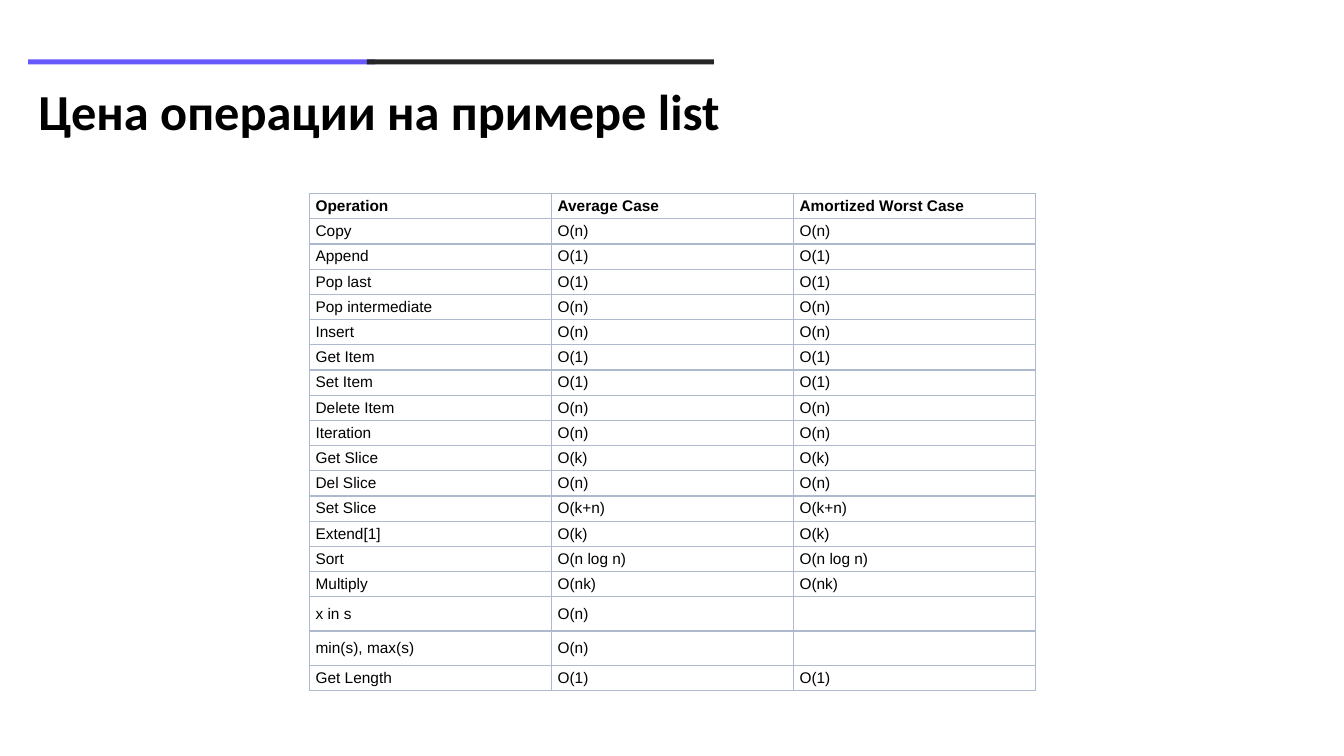
"""Build a slide with a table of list operation costs."""
from lxml import etree
from pptx import Presentation
from pptx import util as u
from pptx.dml.color import RGBColor
from pptx.enum import shapes, text
from pptx.oxml.ns import qn

TITLE = "Цена операции на примере list"
HEAD = ("Operation", "Average Case", "Amortized Worst Case")
COSTS = [
    ("Copy", "O(n)", "O(n)"),
    ("Append", "O(1)", "O(1)"),
    ("Pop last", "O(1)", "O(1)"),
    ("Pop intermediate", "O(n)", "O(n)"),
    ("Insert", "O(n)", "O(n)"),
    ("Get Item", "O(1)", "O(1)"),
    ("Set Item", "O(1)", "O(1)"),
    ("Delete Item", "O(n)", "O(n)"),
    ("Iteration", "O(n)", "O(n)"),
    ("Get Slice", "O(k)", "O(k)"),
    ("Del Slice", "O(n)", "O(n)"),
    ("Set Slice", "O(k+n)", "O(k+n)"),
    ("Extend[1]", "O(k)", "O(k)"),
    ("Sort", "O(n log n)", "O(n log n)"),
    ("Multiply", "O(nk)", "O(nk)"),
    ("x in s", "O(n)", ""),
    ("min(s), max(s)", "O(n)", ""),
    ("Get Length", "O(1)", "O(1)"),
]
COLORS = {"ink": "000000", "paper": "FFFFFF", "grid": "ADB9CC",
          "violet": "6759FE", "dark": "262626"}
BARS = [(0.28, "violet"), (3.64, "dark")]
COL, ROW, TALL = 2.4, 0.25, 0.34


def color(name):
    return RGBColor.from_string(COLORS[name])


def style(para, face, size, bold):
    for run in para.runs:
        font = run.font
        font.name, font.size, font.bold = face, u.Pt(size), bold
        font.color.rgb = color("ink")


def add_title(slide):
    title = slide.shapes.title
    title.left, title.top = u.Inches(0.28), u.Inches(0.68)
    title.width, title.height = u.Inches(7.07), u.Inches(0.91)
    frame = title.text_frame
    frame.text = TITLE
    frame.word_wrap = True
    frame.vertical_anchor = text.MSO_ANCHOR.MIDDLE
    para = frame.paragraphs[0]
    para.alignment = text.PP_ALIGN.LEFT
    para.line_spacing = 0.9
    style(para, "Calibri", 36, True)


def add_bar(slide, left, name):
    bar = slide.shapes.add_shape(
        shapes.MSO_SHAPE.RECTANGLE, u.Inches(left), u.Inches(0.59),
        u.Inches(3.44), u.Inches(0.05))
    bar.shadow.inherit = False
    bar.fill.solid()
    bar.fill.fore_color.rgb = color(name)
    bar.line.fill.background()


def add_edges(cell):
    props = cell._tc.get_or_add_tcPr()
    for side in ("lnL", "lnR", "lnT", "lnB"):
        line = etree.SubElement(props, qn("a:" + side), w=str(u.Pt(1)))
        fill = etree.SubElement(line, qn("a:solidFill"))
        etree.SubElement(fill, qn("a:srgbClr"), val=COLORS["grid"])


def fill_cell(cell, words, bold):
    cell.text = words
    cell.vertical_anchor = text.MSO_ANCHOR.MIDDLE
    cell.margin_left = cell.margin_right = u.Inches(0.06)
    cell.margin_top = cell.margin_bottom = u.Inches(0.03)
    add_edges(cell)
    cell.fill.solid()
    cell.fill.fore_color.rgb = color("paper")
    para = cell.text_frame.paragraphs[0]
    style(para, "Arial", 11, bold)
    if not words:
        etree.SubElement(para._p, qn("a:endParaRPr"), sz="1100")


def add_costs(slide):
    rows = [HEAD] + COSTS
    highs = [ROW if all(row) else TALL for row in rows]
    table = slide.shapes.add_table(
        len(rows), len(HEAD), u.Inches(3.07), u.Inches(1.92),
        u.Inches(COL * len(HEAD)), u.Inches(sum(highs))).table
    table.horz_banding = False
    for col in table.columns:
        col.width = u.Inches(COL)
    for r, (row, high) in enumerate(zip(rows, highs)):
        table.rows[r].height = u.Inches(high)
        for c, words in enumerate(row):
            fill_cell(table.cell(r, c), words, r == 0)


def main():
    deck = Presentation()
    deck.slide_width, deck.slide_height = u.Inches(13.33), u.Inches(7.5)
    slide = deck.slides.add_slide(deck.slide_layouts[5])
    add_title(slide)
    for left, name in BARS:
        add_bar(slide, left, name)
    add_costs(slide)
    deck.save("out.pptx")


if __name__ == "__main__":
    main()
